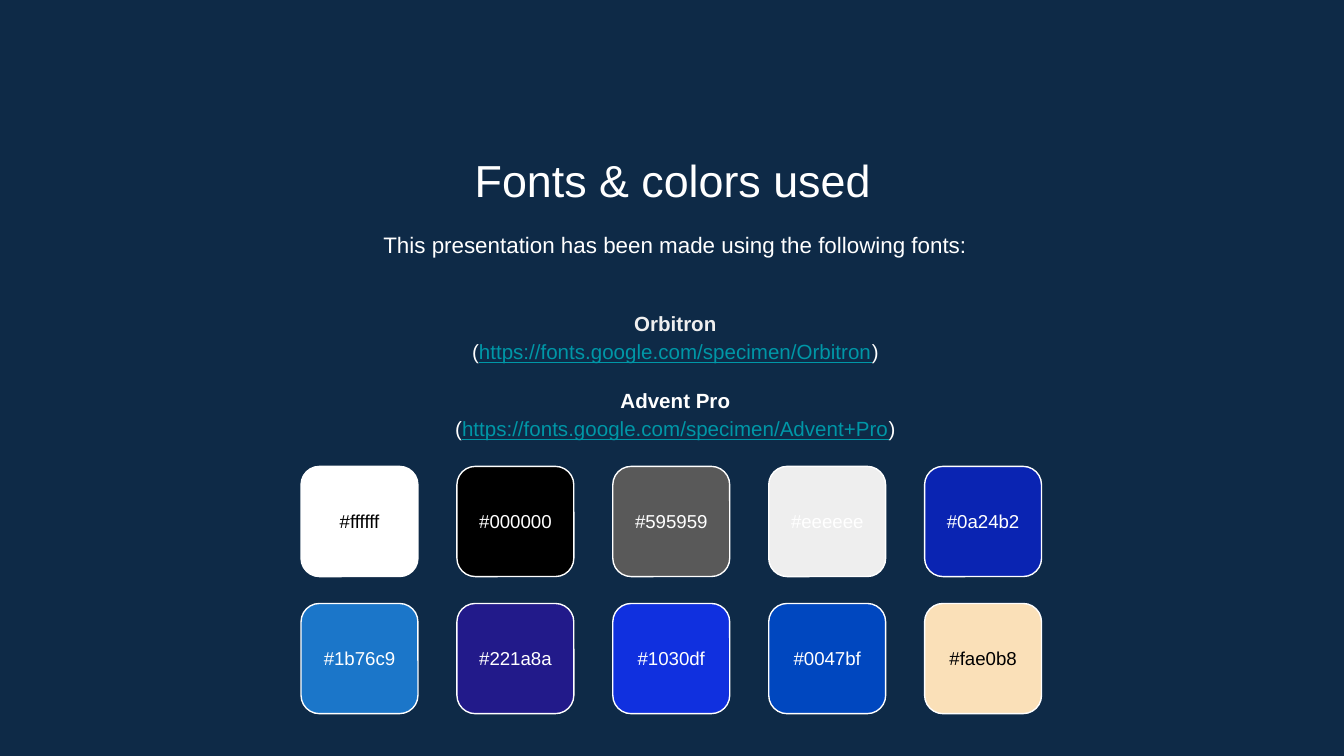
"""Build the slide that lists the fonts and colors of a presentation."""
from pptx import Presentation
from pptx import util as u
from pptx.dml.color import RGBColor
from pptx.enum import shapes, text

WHITE, BLACK, NAVY, PALE, TEAL = "FFFFFF", "000000", "0E2A47", "EFEFEF", "0097A7"
FONTS = [
    ("Orbitron", "https://fonts.google.com/specimen/Orbitron", PALE),
    ("Advent Pro", "https://fonts.google.com/specimen/Advent+Pro", WHITE),
]
SWATCHES = [
    ["#ffffff", "#000000", "#595959", "#eeeeee", "#0a24b2"],
    ["#1b76c9", "#221a8a", "#1030df", "#0047bf", "#fae0b8"],
]
DARK_LABELS = {"#ffffff", "#fae0b8"}


def color(value):
    return RGBColor.from_string(value.lstrip("#").upper())


def add_run(paragraph, words, size=12, fill=WHITE, bold=False, underline=False):
    run = paragraph.add_run()
    run.text = words
    font = run.font
    font.name, font.size = "Arial", u.Pt(size)
    font.bold, font.underline = bold, underline
    font.color.rgb = color(fill)


class SlideBuilder:
    def __init__(self, slide):
        self.slide = slide
        self.inset = u.Inches(0.1)

    def background(self, fill):
        self.slide.background.fill.solid()
        self.slide.background.fill.fore_color.rgb = color(fill)

    def text_frame(self, left, top, width, height, anchor=text.MSO_ANCHOR.TOP):
        shape = self.slide.shapes.add_textbox(*map(u.Inches, (left, top, width, height)))
        frame = shape.text_frame
        frame.word_wrap = True
        frame.vertical_anchor = anchor
        frame.margin_left = frame.margin_right = self.inset
        frame.margin_top = frame.margin_bottom = self.inset
        return frame

    def paragraph(self, frame, first=True, spacing=None, before=None):
        paragraph = frame.paragraphs[0] if first else frame.add_paragraph()
        paragraph.alignment = text.PP_ALIGN.CENTER
        paragraph.line_spacing = spacing
        paragraph.space_before = before
        return paragraph

    def line(self, words, box, spacing=None, anchor=text.MSO_ANCHOR.TOP, **style):
        frame = self.text_frame(*box, anchor=anchor)
        add_run(self.paragraph(frame, spacing=spacing), words, **style)

    def font_list(self, fonts, box):
        frame = self.text_frame(*box, anchor=text.MSO_ANCHOR.MIDDLE)
        for index, (name, address, fill) in enumerate(fonts):
            first = index == 0
            before = None if first else u.Pt(11)
            heading = self.paragraph(frame, first, spacing=1.15, before=before)
            add_run(heading, name, size=11, fill=fill, bold=True)
            link = self.paragraph(frame, False, spacing=1.15)
            add_run(link, "(", size=11)
            add_run(link, address, size=11, fill=TEAL, underline=True)
            add_run(link, ")", size=11)

    def swatch(self, code, left, top):
        shape = self.slide.shapes.add_shape(
            shapes.MSO_SHAPE.ROUNDED_RECTANGLE,
            *map(u.Inches, (left, top, 0.87, 0.82)))
        shape.shadow.inherit = False
        shape.fill.solid()
        shape.fill.fore_color.rgb = color(code)
        shape.line.color.rgb = color(WHITE)
        shape.line.width = u.Pt(0.75)
        self.line(code, (left, top + 0.17, 0.87, 0.48), size=10,
                  anchor=text.MSO_ANCHOR.MIDDLE,
                  fill=BLACK if code in DARK_LABELS else WHITE)


def main():
    presentation = Presentation()
    presentation.slide_width = u.Inches(10)
    presentation.slide_height = presentation.slide_width * 9 // 16
    builder = SlideBuilder(presentation.slides.add_slide(presentation.slide_layouts[6]))
    builder.background(NAVY)
    builder.line("Fonts & colors used", (1.15, 1.04, 7.71, 0.53), size=24)
    builder.line("This presentation has been made using the following fonts:",
                 (1.17, 1.59, 7.71, 0.48), spacing=1.15)
    builder.font_list(FONTS, (1.17, 2.1, 7.71, 1.37))
    for row, codes in enumerate(SWATCHES):
        for column, code in enumerate(codes):
            builder.swatch(code, 2.24 + 1.16 * column, 3.47 + 1.02 * row)
    presentation.save("out.pptx")


if __name__ == "__main__":
    main()
